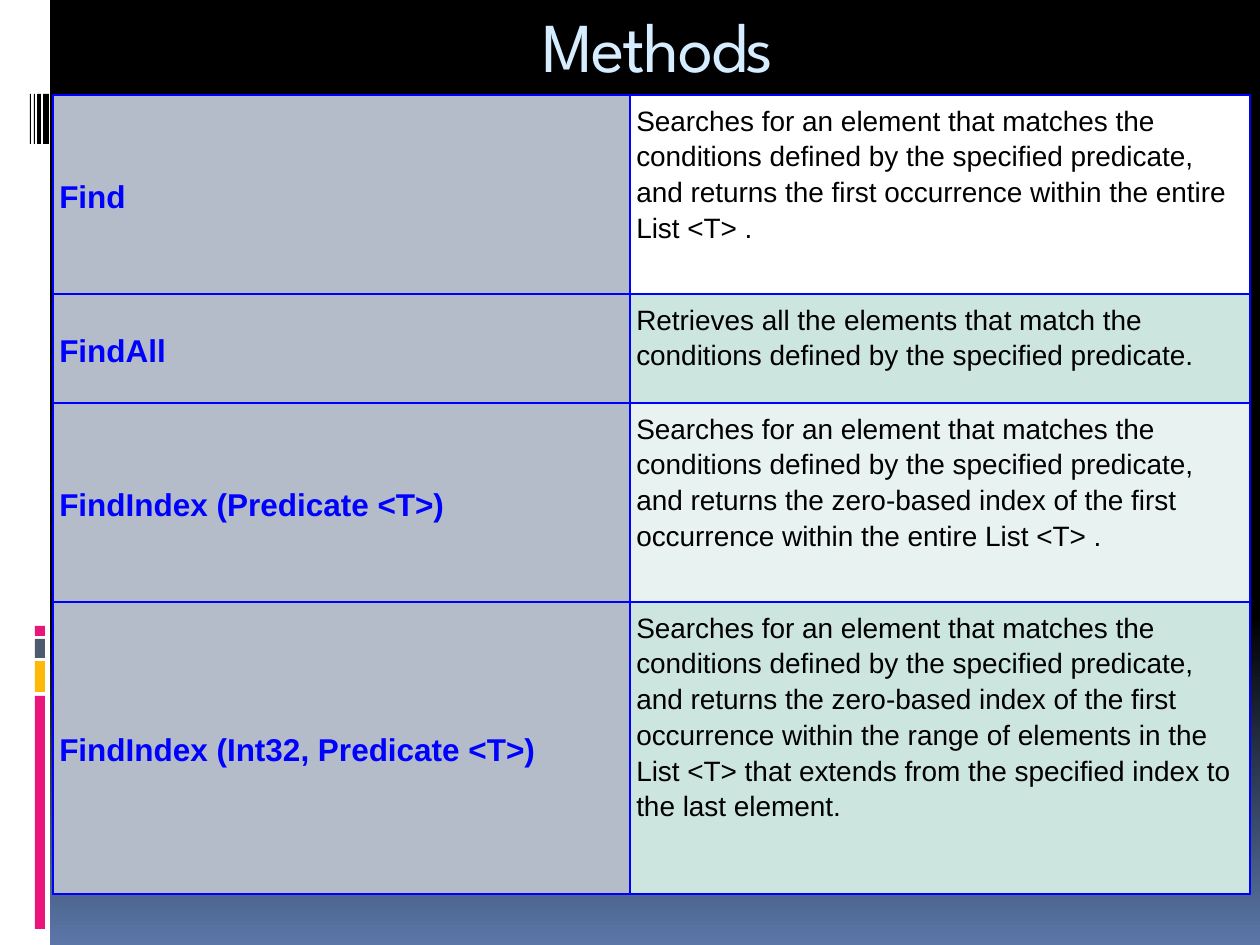
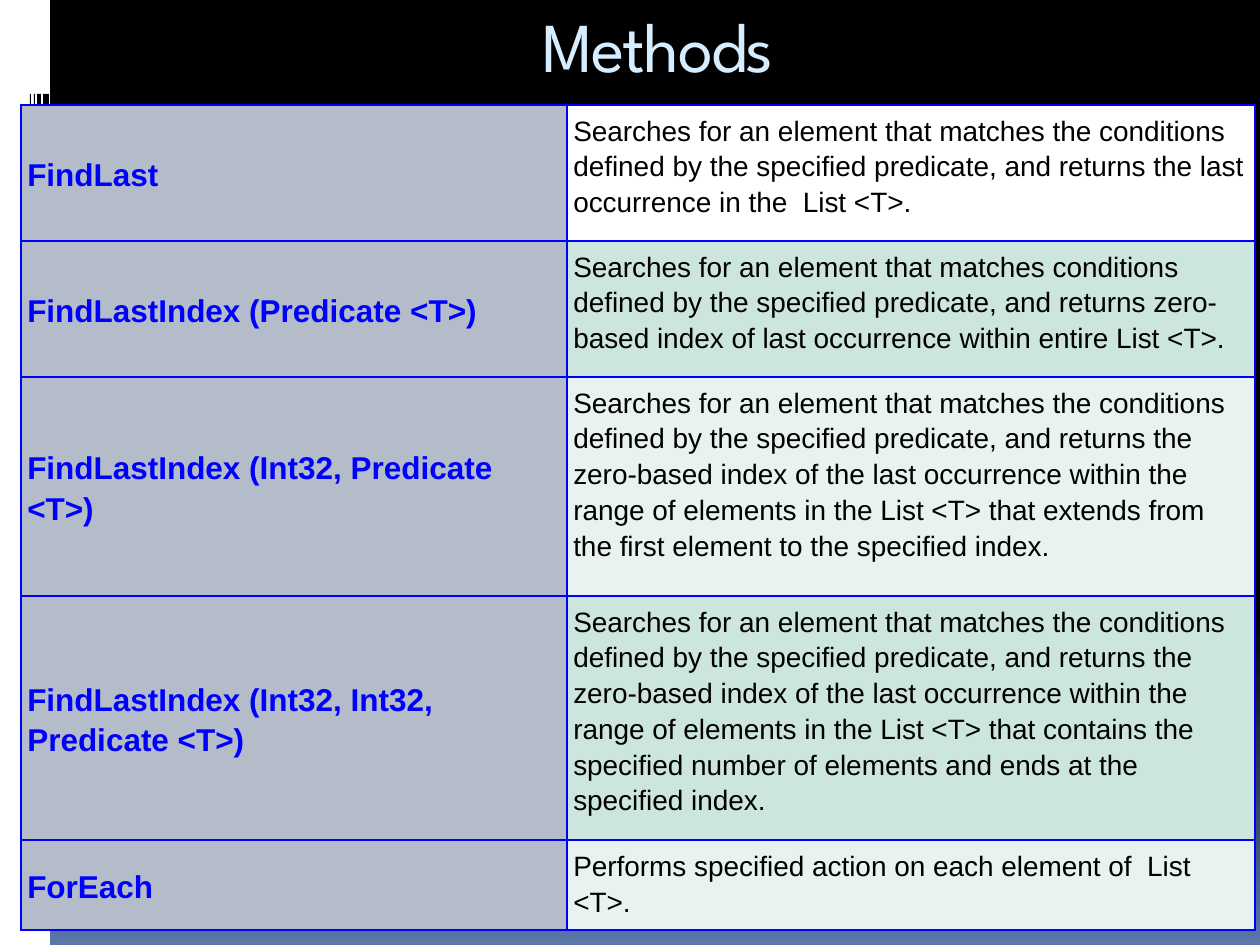
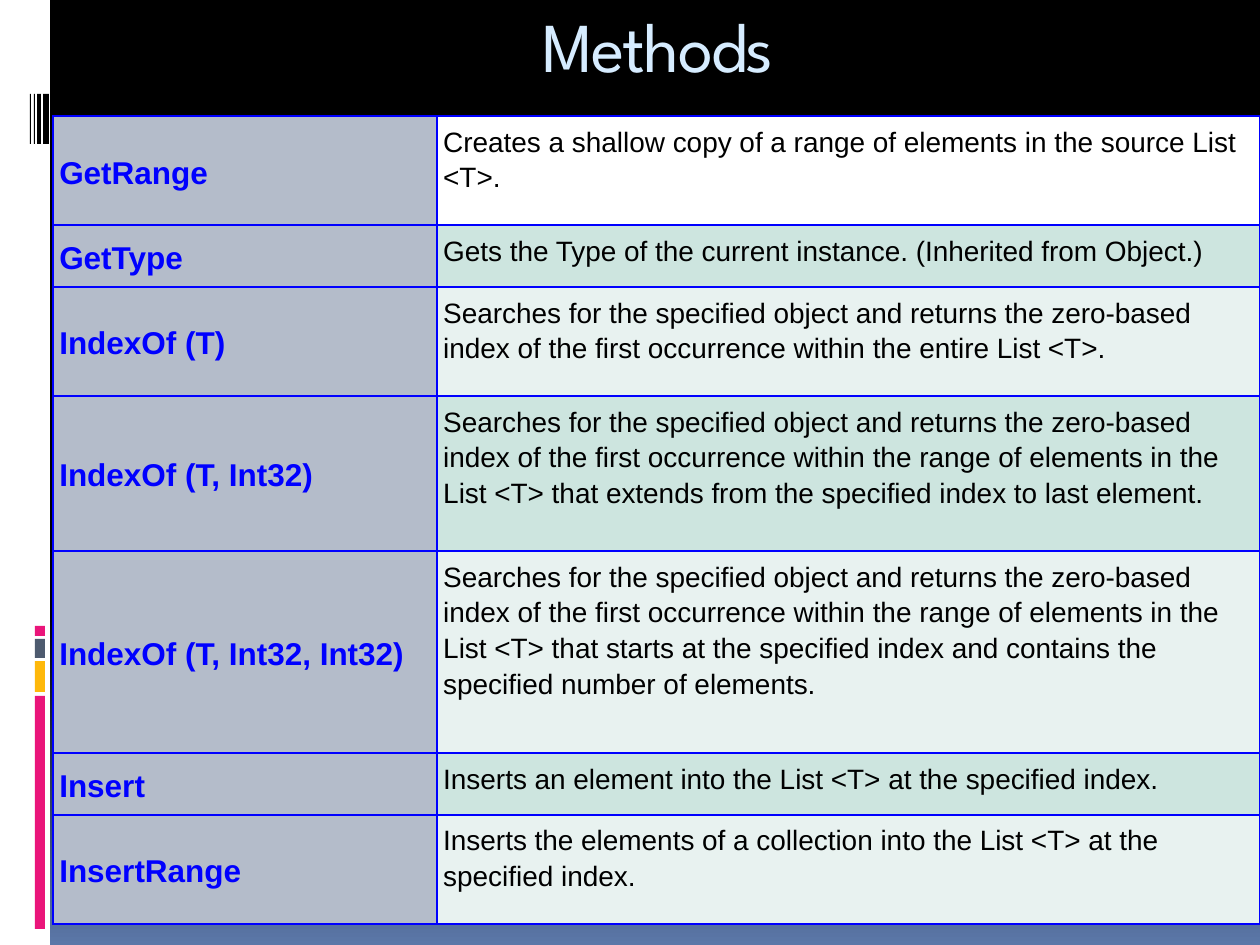
from lxml import etree
from pptx import Presentation
from pptx import util as u
from pptx.dml.color import RGBColor
from pptx.enum import shapes, text
from pptx.oxml import ns

PX = 914400 / 126
W, H = 1260, 945
BLACK, WHITE, SKY, PINK = "000000", "FFFFFF", "D6ECFF", "EA157A"
AMBER, SLATE, BLUE, GREY = "FEB80A", "4E5B6F", "0000FF", "B4BCCA"
MINT, PALE, DUSK = "CDE5DF", "E8F2F0", "5B77A8"
TITLE_BOX = (53, 1, 1210, 87)
TITLE = dict(size=u.Pt(40), name="League Spartan", color=SKY)
METHOD = dict(size=u.Pt(18), name="Arial", bold=True, color=BLUE)
DETAIL = dict(size=u.Pt(16), name="Arial", bold=False, color=BLACK)
CELL_PARA = dict(line_spacing=1.15, space_before=u.Pt(3.8), space_after=u.Pt(3.8))
MARGINS = ("margin_left", "margin_right", "margin_top", "margin_bottom")
CELL = dict.fromkeys(MARGINS, u.Inches(0.05))
COLOR_BARS = [(626, 10, PINK), (639, 19, SLATE), (661, 31, AMBER), (696, 233, PINK)]
BARCODE = [(30, 1), (34, 1), (37, 4), (43, 6)]

SEARCH = "Searches for an element that matches the conditions defined by the specified predicate, and returns the "
ZERO = SEARCH + "zero-based index of the "
RANGE = "occurrence within the range of elements in the List <T> that "
INDEX = "Searches for the specified object and returns the zero-based index of the first "

PAGES = [
    ((53, 95), (577, 620), [
        (199, "Find", SEARCH + "first occurrence within the entire List <T> ."),
        (109, "FindAll", "Retrieves all the elements that match the conditions defined by the specified predicate."),
        (199, "FindIndex (Predicate <T>)", ZERO + "first occurrence within the entire List <T> ."),
        (292, "FindIndex (Int32, Predicate <T>)",
         ZERO + "first " + RANGE + "extends from the specified index to the last element."),
    ]),
    ((21, 105), (546, 688), [
        (136, "FindLast", SEARCH + "last occurrence in the  List <T>."),
        (136, "FindLastIndex (Predicate <T>)",
         "Searches for an element that matches conditions defined by the specified predicate, "
         "and returns zero-based index of last occurrence within entire List <T>."),
        (219, "FindLastIndex (Int32, Predicate <T>)",
         ZERO + "last " + RANGE + "extends from the first element to the specified index."),
        (219, "FindLastIndex (Int32, Int32, Predicate <T>)",
         ZERO + "last " + RANGE + "contains the specified number of elements and ends at the specified index."),
        (57, "ForEach", "Performs specified action on each element of  List <T>."),
    ]),
    ((53, 116), (384, 823), [
        (109, "GetRange", "Creates a shallow copy of a range of elements in the source List <T>."),
        (62, "GetType", "Gets the Type of the current instance. (Inherited from Object.)"),
        (109, "IndexOf (T)", INDEX + "occurrence within the entire List <T>."),
        (155, "IndexOf (T, Int32)", INDEX + RANGE + "extends from the specified index to last element."),
        (202, "IndexOf (T, Int32, Int32)",
         INDEX + RANGE + "starts at the specified index and contains the specified number of elements."),
        (62, "Insert", "Inserts an element into the List <T> at the specified index."),
        (109, "InsertRange", "Inserts the elements of a collection into the List <T> at the specified index."),
    ]),
]


def px(*lengths):
    """Turn px lengths into EMU."""
    return [u.Emu(round(n * PX)) for n in lengths]


def rgb(value):
    """Turn a hex string into a colour."""
    return RGBColor.from_string(value)


def apply(obj, values):
    """Set attributes of an object from a dict."""
    for name, value in values.items():
        setattr(obj, name, value)


def write(tf, words, font, para):
    """Write one formatted paragraph and return its run."""
    p = tf.paragraphs[0]
    apply(p, para)
    r = p.add_run()
    r.text = words
    apply(r.font, {k: v for k, v in font.items() if k != "color"})
    r.font.color.rgb = rgb(font["color"])
    return r


def set_background(master):
    """Give every slide the black to blue gradient."""
    fill = master.background.fill
    fill.gradient()
    fill.gradient_angle = 270
    for stop, position, color in zip(fill.gradient_stops, (0.65, 1), (BLACK, DUSK)):
        stop.position = position
        stop.color.rgb = rgb(color)


def add_bar(slide, box, color):
    """Add a plain filled rectangle."""
    sp = slide.shapes.add_shape(shapes.MSO_SHAPE.RECTANGLE, *px(*box))
    sp.shadow.inherit = False
    sp.fill.solid()
    sp.fill.fore_color.rgb = rgb(color)
    sp.line.fill.background()


def add_side_band(slide, x, y):
    """Add the white band with its colour bars and barcode."""
    add_bar(slide, (x, y, 50, H), WHITE)
    for top, height, color in COLOR_BARS:
        add_bar(slide, (x + 35, y + top, 10, height), color)
    for left, width in BARCODE:
        add_bar(slide, (x + left, y + 94, width, 50), BLACK)


def add_title(slide, box, words):
    """Add the centred slide title."""
    tf = slide.shapes.add_textbox(*px(*box)).text_frame
    apply(tf, dict(word_wrap=True, vertical_anchor=text.MSO_ANCHOR.MIDDLE))
    r = write(tf, words, TITLE, dict(alignment=text.PP_ALIGN.CENTER))
    r.font._element.set("spc", "-100")


def add_borders(cell):
    """Draw a thin blue line on each side of a cell."""
    tcPr = cell._tc.get_or_add_tcPr()
    for side in ("lnL", "lnR", "lnT", "lnB"):
        ln = etree.SubElement(tcPr, ns.qn("a:" + side), w=str(u.Pt(1)))
        fill = etree.SubElement(ln, ns.qn("a:solidFill"))
        etree.SubElement(fill, ns.qn("a:srgbClr"), val=BLUE)


def fill_cell(cell, words, font, color, anchor):
    """Write, border and colour one cell."""
    add_borders(cell)
    apply(cell, dict(CELL, vertical_anchor=anchor))
    write(cell.text_frame, words, font, CELL_PARA)
    cell.fill.solid()
    cell.fill.fore_color.rgb = rgb(color)


def add_methods_table(slide, origin, widths, rows):
    """Add the table of methods and their descriptions."""
    size = sum(widths), sum(row[0] for row in rows)
    table = slide.shapes.add_table(len(rows), 2, *px(*origin, *size)).table
    apply(table, dict(first_row=False, horz_banding=False))
    for column, width in zip(table.columns, px(*widths)):
        column.width = width
    for i, (height, method, detail) in enumerate(rows):
        table.rows[i].height = px(height)[0]
        band = WHITE if i == 0 else (PALE, MINT)[i % 2]
        fill_cell(table.cell(i, 0), method, METHOD, GREY, text.MSO_ANCHOR.MIDDLE)
        fill_cell(table.cell(i, 1), detail, DETAIL, band, text.MSO_ANCHOR.TOP)


def add_methods_slide(prs, origin, widths, rows):
    """Add one slide with band, title and table."""
    slide = prs.slides.add_slide(prs.slide_layouts[6])
    add_side_band(slide, 0, 0)
    add_title(slide, TITLE_BOX, "Methods")
    add_methods_table(slide, origin, widths, rows)


def main():
    """Build and save the presentation."""
    prs = Presentation()
    prs.slide_width, prs.slide_height = px(W, H)
    set_background(prs.slide_master)
    for page in PAGES:
        add_methods_slide(prs, *page)
    prs.save("out.pptx")


if __name__ == "__main__":
    main()
